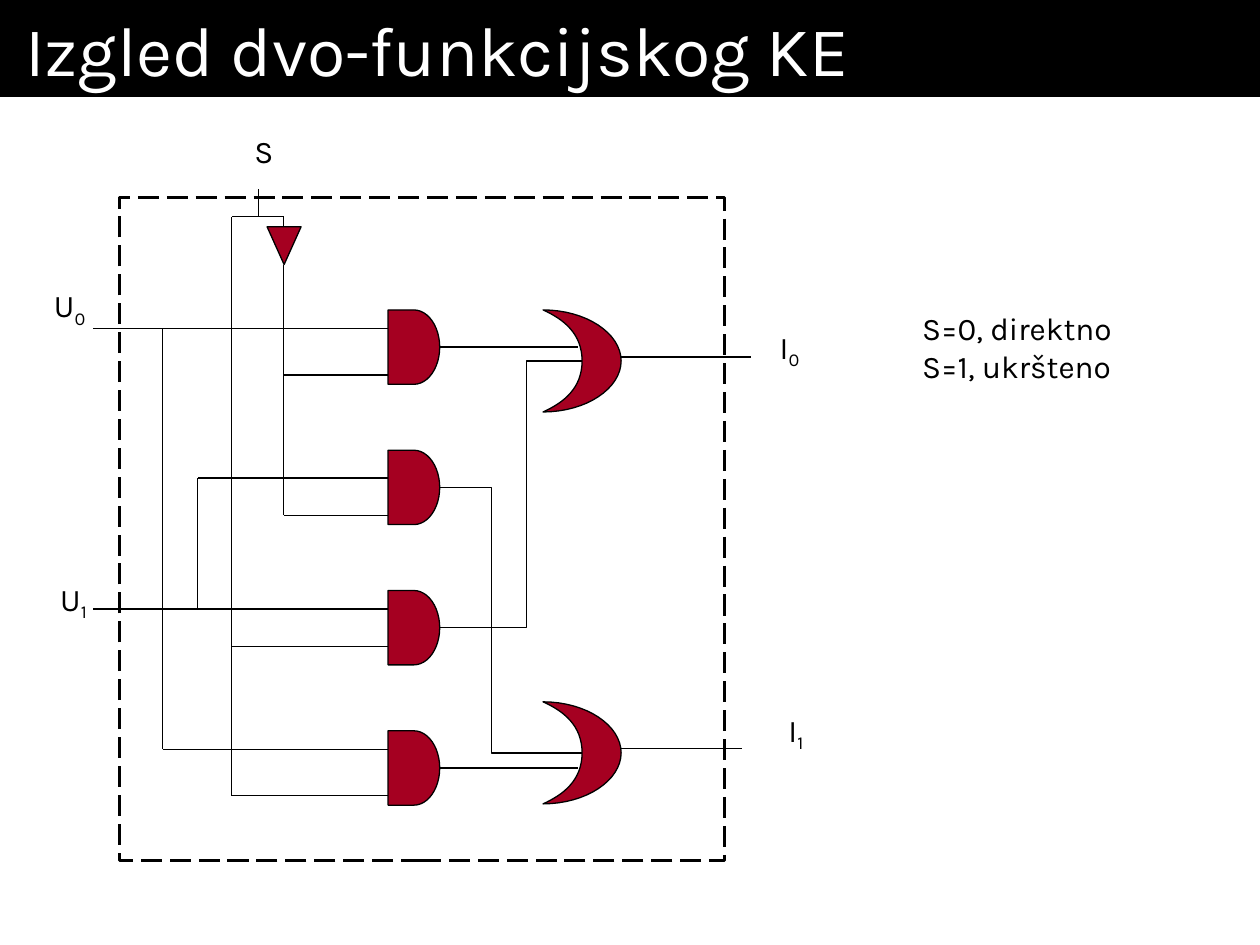
from lxml import etree
from pptx import Presentation, util as u
from pptx.dml.color import RGBColor
from pptx.enum import dml, shapes, text
from pptx.oxml.ns import qn

BLACK = RGBColor(0, 0, 0)
WHITE = RGBColor(0xFF, 0xFF, 0xFF)
CRIMSON = RGBColor(0xA5, 0x00, 0x21)
FONT = "Karla"

# Columns of the circuit, in inches
COL_IN, COL_U0, COL_U1, COL_S, COL_TAP, COL_NOT = 0.74, 1.29, 1.57, 1.84, 2.05, 2.25
COL_AND, AND_W, COL_OR, OR_W = 3.08, 0.41, 4.31, 0.62
AND_OUT, OR_MID, OR_OUT = COL_AND + AND_W, COL_OR + OR_W / 2, COL_OR + OR_W

# Rows
TOP, AND_H, OR_H = 2.46, 0.59, 0.81
AND_PITCH, OR_PITCH = 3.34 / 3, 3.11
S_TOP, S_SPLIT, NOT_TOP, NOT_H = 1.5, 1.72, 1.8, 0.3


def pin(gate, eighths):
    """Height of a point on an AND gate, counted in eighths from its top."""
    return TOP + gate * AND_PITCH + AND_H * eighths / 8


def or_row(gate, share):
    return TOP + gate * OR_PITCH + OR_H * share


def paint(s, fill=None, line=BLACK, width=0.75):
    s.shadow.inherit = False
    if fill is None:
        s.fill.background()
    else:
        s.fill.solid()
        s.fill.fore_color.rgb = fill
    if line is None:
        s.line.fill.background()
    else:
        s.line.color.rgb = line
        s.line.width = u.Pt(width)


def add_box(slide, kind, x, y, w, h, **style):
    s = slide.shapes.add_shape(kind, *map(u.Inches, (x, y, w, h)))
    paint(s, **style)
    return s


def add_title(slide, words):
    s = add_box(slide, shapes.MSO_SHAPE.RECTANGLE, 0, 0, 10, 0.77, fill=BLACK, line=None)
    tf = s.text_frame
    tf.margin_left = tf.margin_right = u.Inches(0.2)
    tf.vertical_anchor = text.MSO_ANCHOR.MIDDLE
    p = tf.paragraphs[0]
    p.text = words
    p.alignment = text.PP_ALIGN.LEFT
    p.font.name, p.font.size, p.font.color.rgb = FONT, u.Pt(40), WHITE


def add_label(slide, x, y, w, h, lines, sub=""):
    tf = slide.shapes.add_textbox(*map(u.Inches, (x, y, w, h))).text_frame
    tf.word_wrap = False
    tf.vertical_anchor = text.MSO_ANCHOR.BOTTOM
    for i, words in enumerate(lines):
        p = tf.add_paragraph() if i else tf.paragraphs[0]
        p.font.name, p.font.size, p.font.color.rgb = FONT, u.Pt(18), BLACK
        p.add_run().text = words
    if sub:
        r = p.add_run()
        r.text = sub
        r._r.get_or_add_rPr().set("baseline", "-25000")


def add_connector(slide, kind, start, end):
    s = slide.shapes.add_connector(kind, *map(u.Inches, (*start, *end)))
    s.line.color.rgb = BLACK
    s.line.width = u.Pt(0.75)
    etree.SubElement(s._element.spPr, qn("a:effectLst"))
    return s


def add_wire(slide, *points):
    """Straight segments through the given points."""
    for start, end in zip(points, points[1:]):
        add_connector(slide, shapes.MSO_CONNECTOR.STRAIGHT, start, end)


def add_elbow(slide, start, end, bend_x):
    s = add_connector(slide, shapes.MSO_CONNECTOR.ELBOW, start, end)
    share = (bend_x - start[0]) / (end[0] - start[0])
    guides = s._element.spPr.find(qn("a:prstGeom")).get_or_add_avLst()
    etree.SubElement(guides, qn("a:gd"), name="adj1", fmla=f"val {round(share * 100000)}")


def curve(p0, p1, p2, p3, steps=16):
    """Points of a cubic Bezier curve, without its first point."""
    for i in range(1, steps + 1):
        t = i / steps
        weights = (1 - t) ** 3, 3 * t * (1 - t) ** 2, 3 * t * t * (1 - t), t ** 3
        yield tuple(sum(k * c for k, c in zip(weights, axis)) for axis in zip(p0, p1, p2, p3))


def add_or_gate(slide, gate):
    def at(across, down):
        return u.Inches(COL_OR + across * OR_W), u.Inches(or_row(gate, down))

    arcs = [
        (at(0, 1), at(0.26, 0.91), at(0.5, 0.77), at(0.5, 0.5)),
        (at(0.5, 0.5), at(0.5, 0.23), at(0.26, 0.09), at(0, 0)),
        (at(0, 0), at(0.55, 0), at(1, 0.23), at(1, 0.5)),
        (at(1, 0.5), at(1, 0.77), at(0.55, 1), at(0, 1)),
    ]
    outline = slide.shapes.build_freeform(*at(0, 1))
    outline.add_line_segments([pt for arc in arcs for pt in curve(*arc)], close=True)
    paint(outline.convert_to_shape(), fill=CRIMSON)


def add_gates(slide):
    for gate in range(4):
        add_box(slide, shapes.MSO_SHAPE.FLOWCHART_DELAY,
                COL_AND, pin(gate, 0), AND_W, AND_H, fill=CRIMSON)
    for gate in range(2):
        add_or_gate(slide, gate)
    add_box(slide, shapes.MSO_SHAPE.FLOWCHART_MERGE,
            COL_NOT - 0.13, NOT_TOP, 0.27, NOT_H, fill=CRIMSON)


def add_wires(slide):
    u0, u1 = pin(0, 2), pin(2, 2)
    for row in (u0, u1):
        add_wire(slide, (COL_IN, row), (COL_AND, row))
    # Each input's branch to its second gate
    for col, row, target in ((COL_U0, u0, pin(3, 2)), (COL_U1, u1, pin(1, 3))):
        add_wire(slide, (col, row), (col, target), (COL_AND, target))
    # Select signal, plain and inverted
    add_wire(slide, (COL_TAP, S_TOP), (COL_TAP, S_SPLIT))
    add_wire(slide, (COL_AND, pin(3, 7)), (COL_S, pin(3, 7)), (COL_S, S_SPLIT),
             (COL_NOT, S_SPLIT), (COL_NOT, NOT_TOP))
    add_wire(slide, (COL_NOT, NOT_TOP + NOT_H), (COL_NOT, pin(1, 7)), (COL_AND, pin(1, 7)))
    for col, row in ((COL_NOT, pin(0, 7)), (COL_S, pin(2, 6))):
        add_wire(slide, (col, row), (COL_AND, row))
    # AND gates to OR gates
    for gate in (0, 3):
        add_wire(slide, (AND_OUT, pin(gate, 4)), (OR_MID - 0.03, pin(gate, 4)))
    for gate, target, bend_x in ((1, 1, 3.9), (2, 0, 4.18)):
        add_elbow(slide, (AND_OUT, pin(gate, 4)), (OR_MID, or_row(target, 0.5)), bend_x)
    for gate, end_x in enumerate((5.96, 5.89)):
        row = or_row(gate, 0.46)
        add_wire(slide, (OR_OUT, row), (end_x, row))


def add_labels(slide):
    for x, y, w, name, sub in ((0.33, 2.22, 0.46, "U", "0"), (0.38, 4.55, 0.46, "U", "1"),
                               (6.09, 2.55, 0.37, "I", "0"), (6.16, 5.59, 0.37, "I", "1")):
        add_label(slide, x, y, w, 0.44, [name], sub)
    add_label(slide, 1.92, 1, 0.34, 0.4, ["S"])
    add_label(slide, 7.22, 2.4, 1.8, 0.7, ["S=0, direktno", "S=1, ukršteno"])


def main():
    prs = Presentation()
    prs.slide_width, prs.slide_height = u.Inches(10), u.Inches(7.5)
    slide = prs.slides.add_slide(prs.slide_layouts[6])
    add_title(slide, "Izgled dvo-funkcijskog KE")
    add_gates(slide)
    add_wires(slide)
    frame = add_box(slide, shapes.MSO_SHAPE.RECTANGLE, 0.95, 1.57, 4.8, 5.26, width=1.5)
    frame.line.dash_style = dml.MSO_LINE.LONG_DASH
    add_labels(slide)
    prs.save("out.pptx")


if __name__ == "__main__":
    main()
